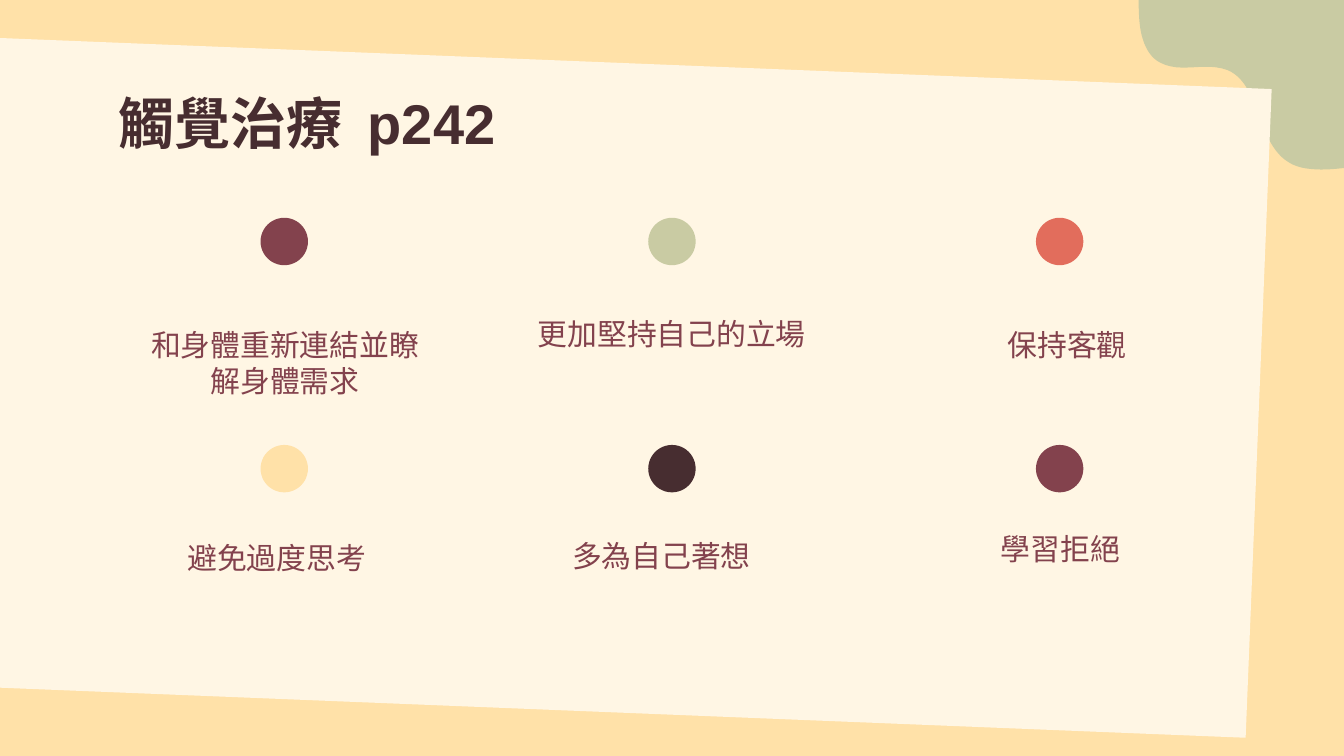
"""Build the touch therapy slide: a tilted card with six dotted takeaways."""
from pptx import Presentation, util as u
from pptx.dml import color
from pptx.enum import shapes, text

Pt = u.Pt


def paint(fill, tone):
    fill.solid()
    fill.fore_color.rgb = color.RGBColor.from_string(tone)


def style(frame, size, font, tone, align, bold=False):
    frame.word_wrap = True
    frame.auto_size = text.MSO_AUTO_SIZE.NONE
    frame.margin_left = frame.margin_right = Pt(7.2)
    frame.margin_top = frame.margin_bottom = Pt(7.2)
    par = frame.paragraphs[0]
    par.alignment = align
    run = par.runs[0].font
    run.size, run.name, run.bold = Pt(size), font, bold
    paint(run.fill, tone)


deck = Presentation()
deck.slide_width, deck.slide_height = Pt(720), Pt(405)
slide = deck.slides.add_slide(deck.slide_layouts[5])
paint(slide.background.fill, "FFE1A8")
tree = slide.shapes

curves = [
    ((609.8, -6), (609.8, 6), (610.6, 13)),
    ((611.5, 21), (614.5, 30), (621.5, 33.5)),
    ((632.5, 39.5), (645.5, 33), (657.5, 37.5)),
    ((666.5, 41), (671, 52), (674.5, 62)),
    ((678, 71.5), (682, 82), (690.5, 87)),
    ((698, 92), (712, 91), (720, 90)),
]
spot = (610.6, -19.5)
edge = [spot]
for one, two, end in curves:
    for step in range(1, 13):
        t = step / 12
        s = 1 - t
        edge.append(tuple(
            s**3 * a + 3 * s * s * t * b + 3 * s * t * t * c + t**3 * d
            for a, b, c, d in zip(spot, one, two, end)))
    spot = end
pen = tree.build_freeform(Pt(720), Pt(-20.5), scale=1.0)
pen.add_line_segments([(Pt(x), Pt(y)) for x, y in edge])
blob = pen.convert_to_shape()
card = tree.add_shape(shapes.MSO_SHAPE.RECTANGLE, Pt(-13), Pt(33.8), Pt(687.6), Pt(347.8))
card.rotation = 2.3
for item, tone in ((blob, "C9CBA3"), (card, "FFF6E4")):
    paint(item.fill, tone)
    item.line.fill.background()
    item.shadow.inherit = False

title = tree.title
card.element.addnext(title.element)
title.left, title.top, title.width, title.height = Pt(56.2), Pt(42.5), Pt(607.7), Pt(45.4)
title.text_frame.text = "觸覺治療  p242"
title.text_frame.vertical_anchor = text.MSO_ANCHOR.MIDDLE
style(title.text_frame, 30, "Arial", "472D30", text.PP_ALIGN.LEFT, True)

notes = [
    ("和身體重新連結並瞭解身體需求", 67, 167.8, "83424D"),
    ("更加堅持自己的立場", 274.3, 162, "C9CBA3"),
    ("保持客觀", 486, 167.8, "E26D5C"),
    ("避免過度思考", 62.6, 282.2, "FFE1A8"),
    ("多為自己著想", 268.6, 280.8, "472D30"),
    ("學習拒絕", 482.4, 277.2, "83424D"),
]
for i, (words, left, top, tone) in enumerate(notes):
    box = tree.add_textbox(Pt(left), Pt(top), Pt(171.4), Pt(45.4))
    box.text_frame.text = words
    style(box.text_frame, 16, "Lato", "83424D", text.PP_ALIGN.CENTER)
    row, col = divmod(i, 3)
    dot = tree.add_shape(shapes.MSO_SHAPE.OVAL, Pt(139.6 + 207.7 * col),
                         Pt(116.7 + 121.7 * row), Pt(25.4), Pt(25.4))
    paint(dot.fill, tone)
    dot.line.fill.background()
    dot.shadow.inherit = False

deck.save("out.pptx")
